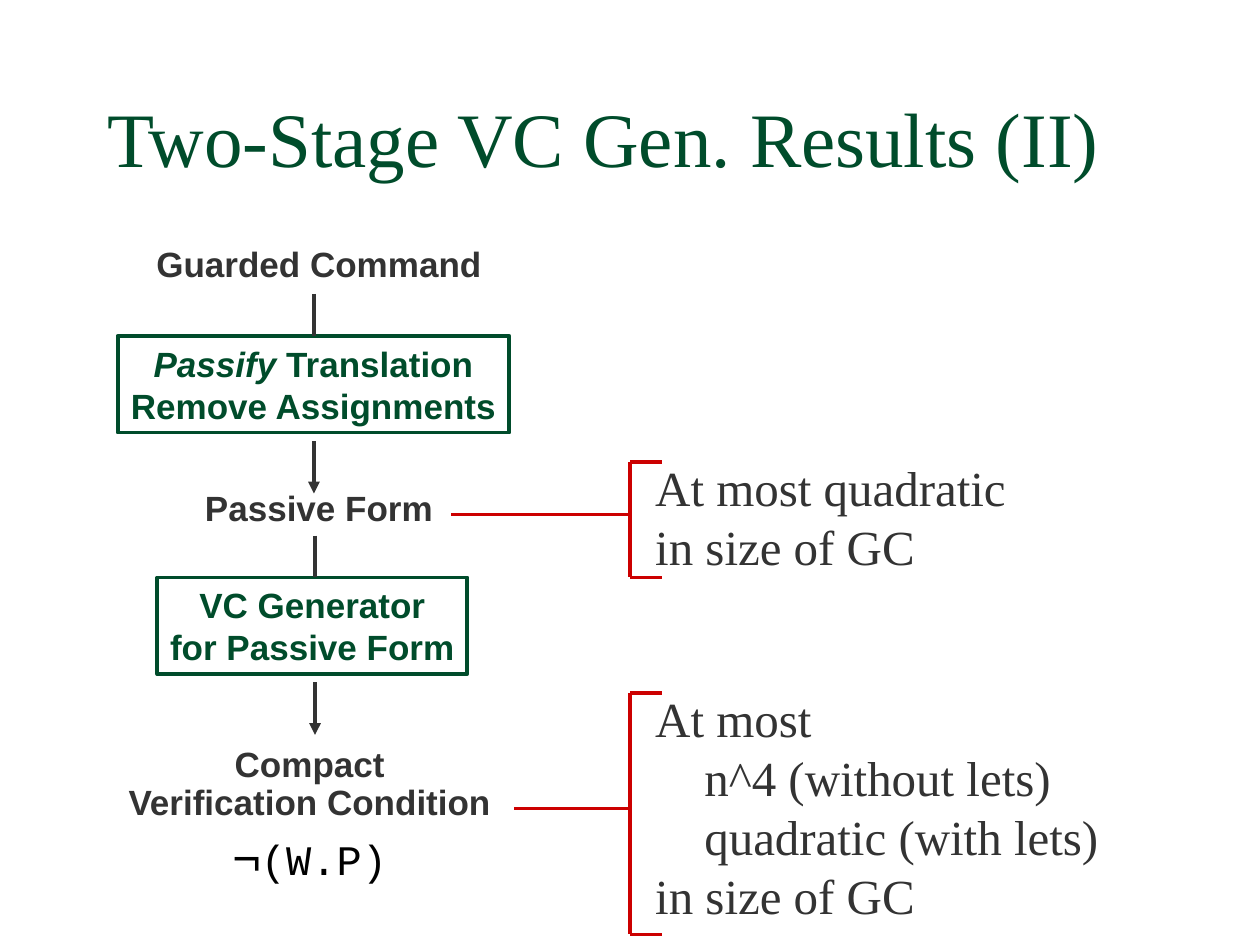
from dataclasses import dataclass
from lxml import etree
from pptx import Presentation
from pptx.dml.color import RGBColor
from pptx.enum.shapes import MSO_CONNECTOR, MSO_SHAPE
from pptx.enum.text import MSO_ANCHOR, MSO_AUTO_SIZE, PP_ALIGN
from pptx.oxml.ns import qn
from pptx.util import Inches, Pt

LINE = MSO_CONNECTOR.STRAIGHT
RECT = MSO_SHAPE.RECTANGLE
TOP, BOTTOM = MSO_ANCHOR.TOP, MSO_ANCHOR.BOTTOM
LEFT, MID = PP_ALIGN.LEFT, PP_ALIGN.CENTER
FIXED = MSO_AUTO_SIZE.NONE
GREEN = RGBColor(0x00, 0x4C, 0x2B)
GREY = RGBColor(0x33, 0x33, 0x33)
RED = RGBColor(0xCC, 0x00, 0x00)
BLACK = RGBColor(0x00, 0x00, 0x00)
SANS, SERIF, MONO = "Arial", "Times New Roman", "Courier New"
COLS, ROWS = 120, 90
WIDTH, HEIGHT = Inches(10), Inches(7.5)


@dataclass
class Area:
    col: float
    row: float
    cols: float
    rows: float


@dataclass
class Run:
    text: str
    size: float = 20
    font: str = SANS
    color: RGBColor = GREY
    bold: bool = True
    slant: bool = False


@dataclass
class Para:
    runs: list[Run]
    align: int = MID
    space: float = 1
    before: float = 0
    indent: float = 0


@dataclass
class Block:
    area: Area
    paras: list[Para]
    framed: bool = False


@dataclass
class Link:
    start: tuple[float, float]
    end: tuple[float, float]
    color: RGBColor = GREY
    arrow: bool = False


@dataclass
class Bracket:
    top: float
    low: float
    stem: float
    row: float


def across(col: float) -> int:
    return round(WIDTH * col / COLS)


def down(row: float) -> int:
    return round(HEIGHT * row / ROWS)


def spot(area: Area) -> tuple[int, int, int, int]:
    return across(area.col), down(area.row), across(area.cols), down(area.rows)


def write(shape, paras: list[Para], anchor=TOP, wrap: bool = True) -> None:
    frame = shape.text_frame
    frame.auto_size = FIXED
    frame.word_wrap = wrap
    frame.vertical_anchor = anchor
    for i, item in enumerate(paras):
        para = frame.add_paragraph() if i else frame.paragraphs[0]
        para.alignment = item.align
        para.line_spacing = item.space
        para.space_before = Pt(item.before)
        props = para._p.get_or_add_pPr()
        props.set("marL", str(Inches(item.indent)))
        props.set("indent", "0")
        etree.SubElement(props, qn("a:buNone"))
        for part in item.runs:
            run = para.add_run()
            run.text = part.text
            font = run.font
            font.name, font.size = part.font, Pt(part.size)
            font.bold, font.italic = part.bold, part.slant
            font.color.rgb = part.color


def fill(holder, area: Area, paras: list[Para], anchor=TOP) -> None:
    holder.left, holder.top, holder.width, holder.height = spot(area)
    write(holder, paras, anchor)


def draw_block(slide, block: Block) -> None:
    if block.framed:
        shape = slide.shapes.add_shape(RECT, *spot(block.area))
        shape.shadow.inherit = False
        shape.fill.background()
        shape.line.color.rgb = GREEN
        shape.line.width = Pt(2.25)
    else:
        shape = slide.shapes.add_textbox(*spot(block.area))
    write(shape, block.paras, wrap=not block.framed)


def draw_link(slide, link: Link) -> None:
    (left, top), (right, low) = link.start, link.end
    line = slide.shapes.add_connector(
        LINE, across(left), down(top), across(right), down(low))
    line.line.color.rgb = link.color
    line.line.width = Pt(2.25)
    if link.arrow:
        etree.SubElement(line.line._ln, qn("a:tailEnd"), type="triangle")
    etree.SubElement(line._element.spPr, qn("a:effectLst"))


def draw_bracket(slide, item: Bracket) -> None:
    spine, tip = 60, 63
    for start, end in (
        ((item.stem, item.row), (spine, item.row)),
        ((spine, item.top), (spine, item.low)),
        ((tip, item.low), (spine, item.low)),
        ((tip, item.top), (spine, item.top)),
    ):
        draw_link(slide, Link(start, end, RED))


def label(text: str) -> Para:
    return Para([Run(text)], space=0.9)


def step(text: str) -> Para:
    return Para([Run(text, color=GREEN)])


def note(text: str, indent: float = 0) -> Para:
    return Para([Run(text, 28, SERIF, bold=False)], LEFT, indent=indent)


TITLE = Para([Run("Two-Stage VC Gen. Results (II)", 44, SERIF, GREEN, False)], LEFT)
PASSIFY = Para([Run("Passify", color=GREEN, slant=True),
                Run(" Translation", color=GREEN)])
FORMULA = Para([Run("¬", 28, SANS, BLACK, False),
                Run("(W.P)", 24, MONO, BLACK, False)], space=0.9, before=6)
BLOCKS = [
    Block(Area(12.6, 23, 36.5, 4.8), [label("Guarded Command ")]),
    Block(Area(11.2, 32, 37.3, 9.2), [PASSIFY, step("Remove Assignments")], True),
    Block(Area(12.6, 46.2, 36.5, 4.8), [label("Passive Form ")]),
    Block(Area(15, 55, 29.5, 9.2),
          [step("VC Generator"), step("for Passive Form")], True),
    Block(Area(8, 70.6, 43, 13.2),
          [label("Compact"), label("Verification Condition"), FORMULA]),
]
NOTES = [
    (Area(61.2, 43, 40, 12.5), [note("At most quadratic"), note("in size of GC")]),
    (Area(61.2, 65, 54.8, 23.6),
     [note("At most"), note("n^4 (without lets)", 0.39),
      note("quadratic (with lets)", 0.39), note("in size of GC")]),
]
LINKS = [
    Link((29.9, 28), (29.9, 32)),
    Link((29.9, 42), (29.9, 47), arrow=True),
    Link((30, 51), (30, 55)),
    Link((30, 65), (30, 70), arrow=True),
]
BRACKETS = [Bracket(44, 55, 43, 49), Bracket(66, 89, 49, 77)]


def main() -> None:
    deck = Presentation()
    deck.slide_width, deck.slide_height = WIDTH, HEIGHT
    slide = deck.slides.add_slide(deck.slide_layouts[3])
    fill(slide.shapes.title, Area(9, 3, 102, 15), [TITLE], BOTTOM)
    for key, (area, paras) in enumerate(NOTES, 1):
        fill(slide.placeholders[key], area, paras)
    for block in BLOCKS:
        draw_block(slide, block)
    for link in LINKS:
        draw_link(slide, link)
    for item in BRACKETS:
        draw_bracket(slide, item)
    deck.save("out.pptx")


if __name__ == "__main__":
    main()
